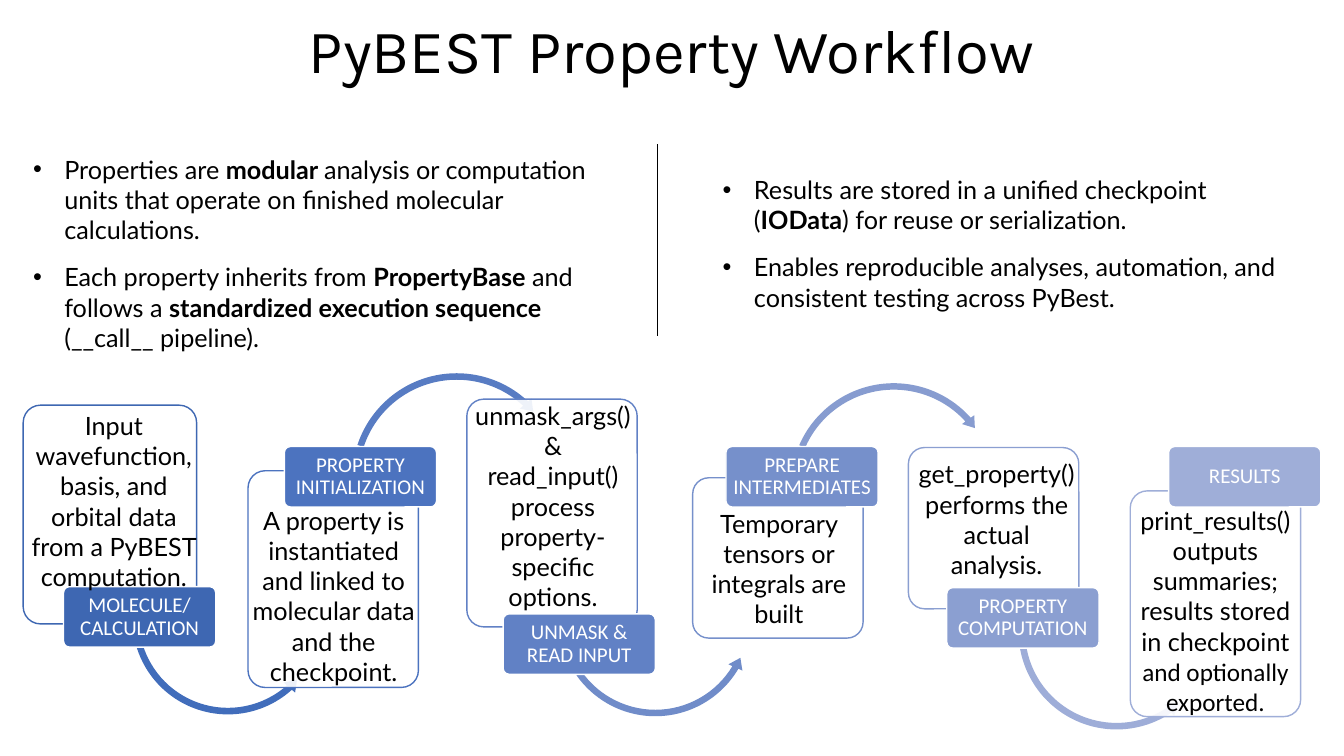
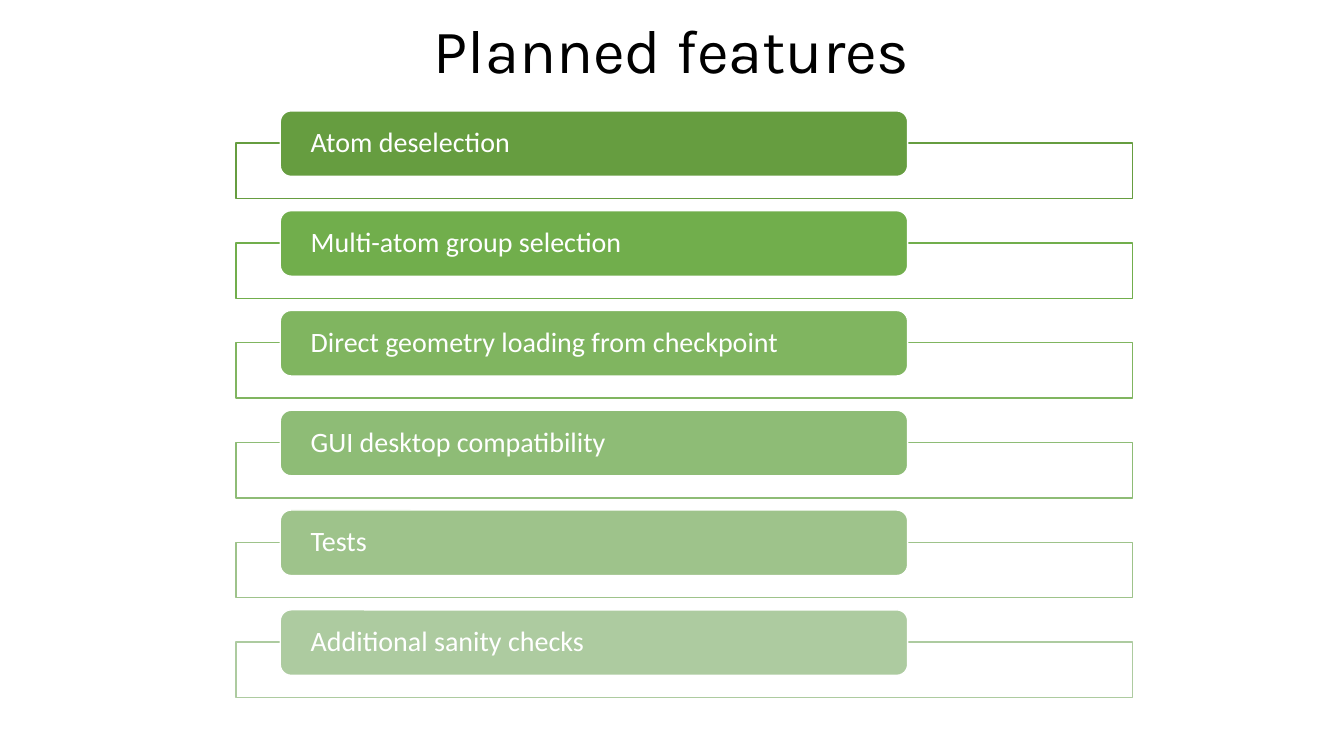
from dataclasses import dataclass

from lxml.etree import SubElement
from pptx import Presentation
from pptx.dml.color import RGBColor
from pptx.enum.shapes import MSO_CONNECTOR, MSO_SHAPE
from pptx.enum.text import MSO_ANCHOR, MSO_AUTO_SIZE, PP_ALIGN
from pptx.oxml.ns import qn
from pptx.util import Inches, Pt

SLIDE_WIDTH, SLIDE_HEIGHT = 13.33, 7.5
TITLE_HEIGHT = 1.06
TITLE_FONT, BODY_FONT, LABEL_FONT = "Karla", "Lato", "Calibri"
BLACK, WHITE = "000000", "FFFFFF"
BODY_SIZE = 18
LABEL_WIDTH, LABEL_HEIGHT = 1.51, 0.6
BULLET_INDENT = 0.31
FEATURE_PITCH = 0.99


@dataclass
class Span:
    text: str
    bold: bool = False
    font: str = BODY_FONT


@dataclass
class Arrow:
    shape: MSO_SHAPE
    left: float
    top: float
    size: float
    color: str
    adjustments: tuple


@dataclass
class Stage:
    label: str
    color: str
    card: tuple
    label_offset: tuple
    detail_box: tuple
    detail: list
    arrow: Arrow = None


STAGES = [
    Stage("MOLECULE/ CALCULATION", "3E67B2", (0.23, 4.02, 1.72, 2.17), (0.4, 1.8),
          (-0.08, 0, 1.96, 1.92),
          [[Span("Input wavefunction, basis, and orbital data from a PyBEST computation.")]],
          Arrow(MSO_SHAPE.LEFT_CIRCULAR_ARROW, 1.04, 1.13, 1.98, "416DBB",
                (0.033, 4.041, 28.887, 97.336, 0.038))),
    Stage("PROPERTY INITIALIZATION", "4C73BF", (2.46, 4.67, 1.69, 2.15), (0.36, -0.24),
          (-0.13, 0.29, 1.96, 1.92),
          [[Span("A property is instantiated and linked to molecular data and the checkpoint.")]],
          Arrow(MSO_SHAPE.CIRCULAR_ARROW, 0.99, -1.01, 2.16, "587CC3",
                (0.03, 3.677, 187.78, 118.968, 0.035))),
    Stage("UNMASK & READ INPUT", "6181C5", (4.63, 3.96, 1.69, 2.26), (0.36, 2.13),
          (-0.11, -0.04, 1.93, 2.22),
          [[Span("unmask_args() &")],
           [Span("read_input() process property-specific options.")]],
          Arrow(MSO_SHAPE.LEFT_CIRCULAR_ARROW, 0.87, 1.19, 2, "708CC9",
                (0.032, 4, 18.434, 86.923, 0.038))),
    Stage("PREPARE INTERMEDIATES", "7690CB", (6.87, 4.74, 1.69, 1.59), (0.33, -0.31),
          (0, 0.25, 1.71, 1.31),
          [[Span("Temporary tensors or integrals are built")]],
          Arrow(MSO_SHAPE.CIRCULAR_ARROW, 0.93, -0.98, 2.13, "879CD0",
                (0.03, 3.723, 190.877, 122.11, 0.035))),
    Stage("PROPERTY COMPUTATION", "8B9FD1", (9.01, 4.44, 1.69, 1.6), (0.38, 1.39),
          (-0.02, 0.06, 1.79, 1.31),
          [[Span("get_property() performs the actual analysis.")]],
          Arrow(MSO_SHAPE.LEFT_CIRCULAR_ARROW, 1.05, 0.81, 2.03, "9EADD8",
                (0.032, 3.934, 33.739, 102.295, 0.037))),
    Stage("RESULTS", "9FAED8", (11.21, 4.87, 1.69, 2.24), (0.38, -0.44),
          (-0.01, 0.09, 1.71, 2.22),
          [[Span("print_results() outputs summaries; results stored in checkpoint "),
            Span("and optionally exported.", font=LABEL_FONT)]]),
]

PROPERTY_POINTS = [
    [Span("Properties are "), Span("modular ", bold=True),
     Span("analysis or computation units that operate on finished molecular calculations.")],
    [Span("Each property inherits from "), Span("PropertyBase", bold=True),
     Span(" and follows a "), Span("standardized execution sequence ", bold=True),
     Span("(__call__ pipeline).")],
]
RESULT_POINTS = [
    [Span("Results are stored in a unified checkpoint ("), Span("IOData", bold=True),
     Span(") for reuse or serialization.")],
    [Span("Enables reproducible analyses, automation, and consistent testing across PyBest.")],
]
FEATURES = [
    ("Atom deselection", "669D40"),
    ("Multi-atom group selection", "71AE4C"),
    ("Direct geometry loading from checkpoint", "80B560"),
    ("GUI desktop compatibility", "8EBC76"),
    ("Tests", "9EC38B"),
    ("Additional sanity checks", "ADCBA0"),
]


def rgb(color):
    return RGBColor.from_string(color)


def format_font(font, name, size, color, bold=False):
    font.name, font.size, font.bold = name, Pt(size), bold
    font.color.rgb = rgb(color)


def add_titled_page(deck, title):
    page = deck.slides.add_slide(deck.slide_layouts[5])
    box = page.shapes.title
    box.left, box.top = Inches(0), Inches(0)
    box.width, box.height = Inches(SLIDE_WIDTH), Inches(TITLE_HEIGHT)
    frame = box.text_frame
    frame.text = title
    frame.auto_size = MSO_AUTO_SIZE.NONE
    frame.vertical_anchor = MSO_ANCHOR.MIDDLE
    para = frame.paragraphs[0]
    para.alignment, para.line_spacing = PP_ALIGN.CENTER, 0.9
    format_font(para.runs[0].font, TITLE_FONT, 44, BLACK)
    return page


def add_box(page, kind, left, top, width, height, fill, line=None):
    box = page.shapes.add_shape(kind, Inches(left), Inches(top), Inches(width), Inches(height))
    box.shadow.inherit = False
    box.fill.solid()
    box.fill.fore_color.rgb = rgb(fill)
    if line:
        box.line.color.rgb = rgb(line)
        box.line.width = Pt(1)
    else:
        box.line.fill.background()
    return box


def add_card(page, kind, left, top, width, height, line):
    card = add_box(page, kind, left, top, width, height, WHITE, line)
    color = card.fill._xPr.find(qn("a:solidFill"))[0]
    SubElement(color, qn("a:alpha"), val="90000")
    return card


def add_label(page, left, top, width, height, text, color, size, alignment, inset, corner):
    label = add_box(page, MSO_SHAPE.ROUNDED_RECTANGLE, left, top, width, height, color, WHITE)
    label.adjustments[0] = corner
    frame = label.text_frame
    frame.text = text
    frame.word_wrap = True
    frame.vertical_anchor = MSO_ANCHOR.MIDDLE
    frame.margin_left = frame.margin_right = Inches(inset)
    frame.margin_top = frame.margin_bottom = Inches(0.04)
    para = frame.paragraphs[0]
    para.alignment, para.line_spacing = alignment, 0.9
    format_font(para.runs[0].font, LABEL_FONT, size, WHITE)


def add_bullet(para):
    properties = para._p.get_or_add_pPr()
    properties.set("marL", str(Inches(BULLET_INDENT)))
    properties.set("indent", str(-Inches(BULLET_INDENT)))
    SubElement(properties, qn("a:buFont"), typeface="Arial")
    SubElement(properties, qn("a:buChar"), char="•")


def add_text(page, left, top, width, height, paragraphs, alignment, bulleted=False):
    box = page.shapes.add_textbox(Inches(left), Inches(top), Inches(width), Inches(height))
    frame = box.text_frame
    frame.word_wrap = True
    for index, spans in enumerate(paragraphs):
        para = frame.add_paragraph() if index else frame.paragraphs[0]
        para.alignment = alignment
        if bulleted:
            para.space_before = Pt(12 if index else 0)
            add_bullet(para)
        for span in spans:
            run = para.add_run()
            run.text = span.text
            format_font(run.font, span.font, BODY_SIZE, BLACK, span.bold)


def add_divider(page, left, top, height):
    divider = page.shapes.add_connector(
        MSO_CONNECTOR.STRAIGHT, Inches(left), Inches(top), Inches(left), Inches(top + height))
    divider.line.color.rgb = rgb(BLACK)
    divider.line.width = Pt(1)
    SubElement(divider._element.spPr, qn("a:effectLst"))


def add_stage(page, stage):
    left, top, width, height = stage.card
    card = add_card(page, MSO_SHAPE.ROUNDED_RECTANGLE, left, top, width, height, stage.color)
    card.adjustments[0] = 0.1
    arrow = stage.arrow
    if arrow:
        curve = add_box(page, arrow.shape, left + arrow.left, top + arrow.top,
                        arrow.size, arrow.size, arrow.color)
        for index, value in enumerate(arrow.adjustments):
            curve.adjustments[index] = value
    label_left, label_top = stage.label_offset
    add_label(page, left + label_left, top + label_top, LABEL_WIDTH, LABEL_HEIGHT,
              stage.label, stage.color, 15, PP_ALIGN.CENTER, 0.05, 0.1)
    detail_left, detail_top, detail_width, detail_height = stage.detail_box
    add_text(page, left + detail_left, top + detail_top, detail_width, detail_height,
             stage.detail, PP_ALIGN.CENTER)


def add_feature(page, left, top, width, text, color):
    add_card(page, MSO_SHAPE.RECTANGLE, left, top + 0.32, width, 0.55, color)
    add_label(page, left + 0.44, top, width * 0.7, 0.65, text, color, 20,
              PP_ALIGN.LEFT, 0.27, 0.167)


def build_workflow_page(deck):
    page = add_titled_page(deck, "PyBEST Property Workflow")
    for stage in STAGES:
        add_stage(page, stage)
    add_text(page, 0.23, 1.48, 5.74, 2.09, PROPERTY_POINTS, PP_ALIGN.LEFT, bulleted=True)
    add_text(page, 7.07, 1.68, 5.74, 1.48, RESULT_POINTS, PP_ALIGN.LEFT, bulleted=True)
    add_divider(page, 6.52, 1.43, 1.9)


def build_features_page(deck):
    page = add_titled_page(deck, "Planned features")
    for index, (text, color) in enumerate(FEATURES):
        add_feature(page, 2.34, 1.1 + index * FEATURE_PITCH, 8.89, text, color)


def main():
    deck = Presentation()
    deck.slide_width, deck.slide_height = Inches(SLIDE_WIDTH), Inches(SLIDE_HEIGHT)
    build_workflow_page(deck)
    build_features_page(deck)
    deck.save("out.pptx")


if __name__ == "__main__":
    main()
